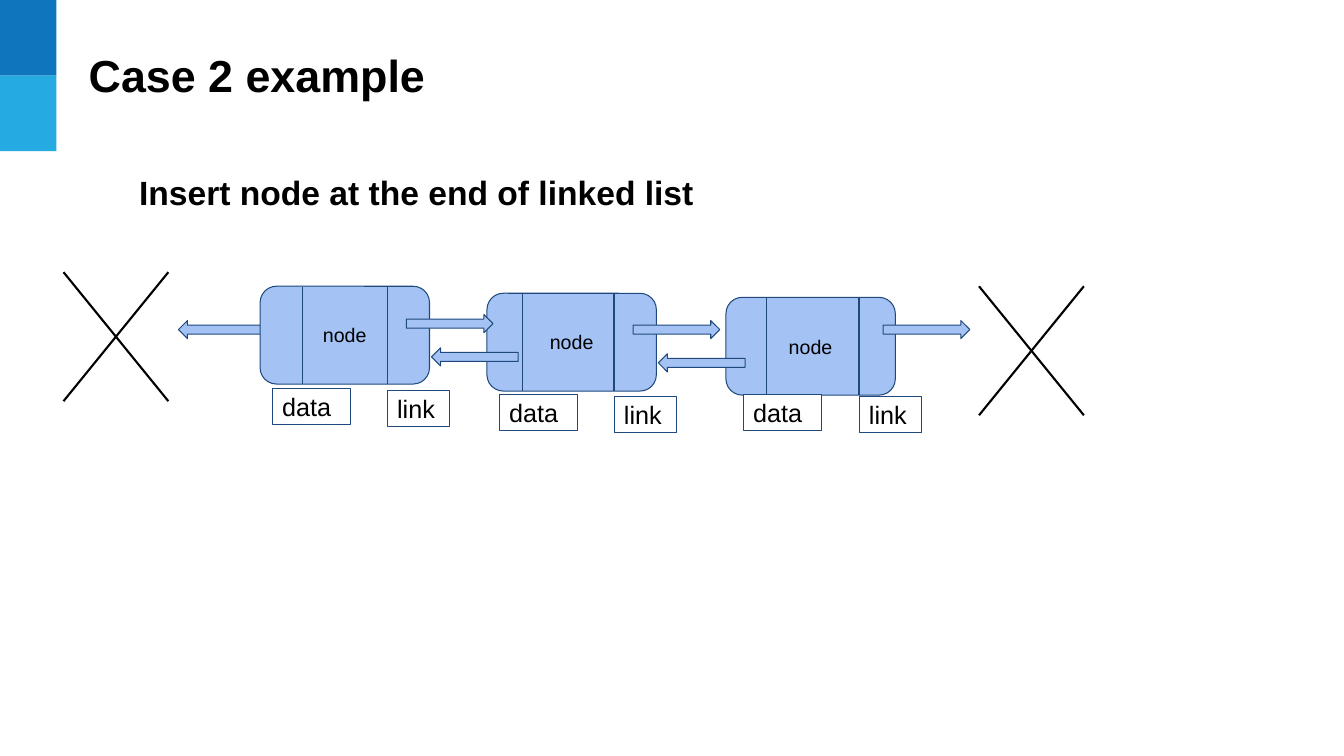
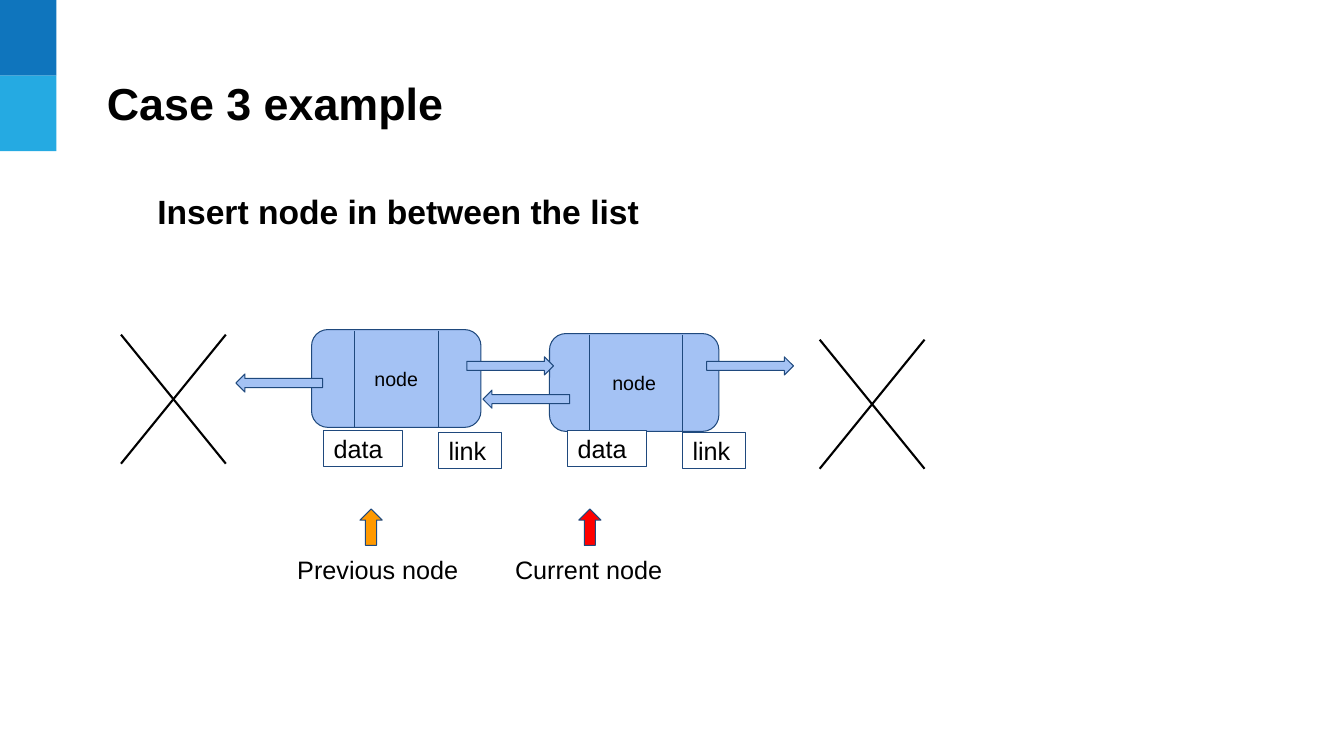
from lxml import etree
from pptx import Presentation
from pptx.dml.color import RGBColor
from pptx.enum.shapes import MSO_CONNECTOR, MSO_SHAPE
from pptx.enum.text import MSO_ANCHOR, PP_ALIGN
from pptx.oxml.ns import qn
from pptx.util import Inches, Pt

RECT, ROUND = MSO_SHAPE.RECTANGLE, MSO_SHAPE.ROUNDED_RECTANGLE
ARROWS = {"left": MSO_SHAPE.LEFT_ARROW, "right": MSO_SHAPE.RIGHT_ARROW}
UP = MSO_SHAPE.UP_ARROW
LINE = MSO_CONNECTOR.STRAIGHT
MIDDLE = MSO_ANCHOR.MIDDLE
LEFT, CENTER = PP_ALIGN.LEFT, PP_ALIGN.CENTER

FONT = "Arial"
COLORS = {
    "dark": "0F75BD", "light": "25AAE2", "node": "A4C2F4", "edge": "1F497D",
    "text": "000000", "white": "FFFFFF", "orange": "FF9900", "red": "FF0000",
}
BANDS = ["dark", "light"]
BAND_W, BAND_H = 0.56, 0.75
NODE_W, NODE_H = 1.68, 0.97
ARROW_W, ARROW_H = 0.86, 0.18
CROSS_W, CROSS_H = 1.04, 1.28
TAG_H = 0.36

# nodes: x, y, offsets of the two dividers and the data tag, drop of the tags
# arrows: direction, x, y; those in "under" lie behind the nodes
# marks: text, box x, box width, arrow x, arrow colour
SLIDES = [
    {
        "title": "Case 2 example",
        "lead": "Insert node at the end of linked list",
        "head": (0.78, 0.29),
        "nodes": [
            (2.58, 2.84, 0.42, 1.26, 0.12, 1.01),
            (4.83, 2.91, 0.35, 1.26, 0.12, 1.0),
            (7.2, 2.95, 0.4, 1.32, 0.17, 0.96),
        ],
        "under": [("left", 1.77, 3.18)],
        "arrows": [
            ("right", 4.03, 3.12), ("left", 4.28, 3.45),
            ("right", 6.28, 3.18), ("left", 6.53, 3.51),
            ("right", 8.76, 3.18),
        ],
        "crosses": [(0.63, 2.7), (9.71, 2.84)],
        "marks": [],
    },
    {
        "title": "Case 3 example",
        "lead": "Insert node in between the list",
        "head": (0.96, 0.57),
        "nodes": [
            (3.09, 3.27, 0.43, 1.26, 0.12, 1.0),
            (5.45, 3.31, 0.4, 1.32, 0.18, 0.96),
        ],
        "under": [],
        "arrows": [
            ("left", 2.34, 3.71), ("right", 4.63, 3.54),
            ("left", 4.79, 3.87), ("right", 7.01, 3.54),
        ],
        "crosses": [(1.2, 3.32), (8.13, 3.37)],
        "marks": [
            ("Previous node", 2.85, 1.93, 3.57, "orange"),
            ("Current node", 5.01, 1.68, 5.74, "red"),
        ],
    },
]


def rgb(name):
    return RGBColor.from_string(COLORS[name])


def place(shape, x, y, w, h):
    shape.left, shape.top = Inches(x), Inches(y)
    shape.width, shape.height = Inches(w), Inches(h)


def write(shape, text, size, bold=False, align=LEFT, anchor=MIDDLE,
          left=0.1, pad=0.1):
    frame = shape.text_frame
    frame.word_wrap = True
    frame.vertical_anchor = anchor
    frame.margin_left, frame.margin_right = Inches(left), Inches(0.1)
    frame.margin_top = frame.margin_bottom = Inches(pad)
    para = frame.paragraphs[0]
    para.alignment = align
    run = para.add_run()
    run.text = text
    font = run.font
    font.name, font.size, font.bold = FONT, Pt(size), bold
    font.color.rgb = rgb("text")


def add_box(slide, kind, x, y, w, h, fill, edge="edge"):
    box = slide.shapes.add_shape(kind, Inches(x), Inches(y), Inches(w), Inches(h))
    box.shadow.inherit = False
    box.fill.solid()
    box.fill.fore_color.rgb = rgb(fill)
    if edge:
        box.line.color.rgb = rgb(edge)
        box.line.width = Pt(0.75)
    else:
        box.line.fill.background()
    return box


def add_line(slide, x1, y1, x2, y2, color, width):
    line = slide.shapes.add_connector(
        LINE, Inches(x1), Inches(y1), Inches(x2), Inches(y2))
    line.line.color.rgb = rgb(color)
    line.line.width = Pt(width)
    etree.SubElement(line.element.spPr, qn("a:effectLst"))


def add_arrow(slide, way, x, y):
    add_box(slide, ARROWS[way], x, y, ARROW_W, ARROW_H, "node")


def add_node(slide, x, y, first, second, data, drop):
    box = add_box(slide, ROUND, x, y, NODE_W, NODE_H, "node")
    write(box, "node", 14, align=CENTER)
    for gap in (first, second):
        add_line(slide, x + gap, y + 0.01, x + gap, y + NODE_H, "edge", 0.75)
    for text, gap, fall, w in (("data", data, drop, 0.78),
                               ("link", second, drop + 0.02, 0.62)):
        tag = add_box(slide, RECT, x + gap, y + fall, w, TAG_H, "white")
        write(tag, text, 18)


def add_cross(slide, x, y):
    right, low = x + CROSS_W, y + CROSS_H
    add_line(slide, right, y, x, low, "text", 1.5)
    add_line(slide, right, low, x, y, "text", 1.5)


def add_mark(slide, text, x, w, tip, color):
    add_box(slide, UP, tip, 5.05, 0.22, 0.36, color)
    box = add_box(slide, RECT, x, 5.47, w, TAG_H, "white", "white")
    write(box, text, 18)


def add_bands(slide):
    """Draw the corner bands and move them to the layout all slides share."""
    tree = slide.slide_layout.shapes.element
    for i, color in enumerate(BANDS):
        band = add_box(slide, RECT, 0, i * BAND_H, BAND_W, BAND_H, color, None)
        band.element.nvSpPr.cNvPr.set("id", str(20 + i))
        tree.append(band.element)


def add_head(slide, title, lead, x, y):
    place(slide.shapes.title, x, y, 8.75, 0.9)
    write(slide.shapes.title, title, 32, bold=True, pad=0.05)
    box = slide.shapes.add_textbox(
        Inches(x), Inches(y + 1.32), Inches(10.15), Inches(0.61))
    if y > 0.5:
        box.top = Inches(y + 1.22)
    write(box, lead, 24, bold=True, anchor=MSO_ANCHOR.TOP, left=0.6)


def main():
    deck = Presentation()
    deck.slide_width, deck.slide_height = Inches(13.33), Inches(7.5)
    layout = deck.slide_layouts[5]
    for i, item in enumerate(SLIDES):
        slide = deck.slides.add_slide(layout)
        if i == 0:
            add_bands(slide)
        add_head(slide, item["title"], item["lead"], *item["head"])
        for key, draw in (("under", add_arrow), ("nodes", add_node),
                          ("arrows", add_arrow), ("crosses", add_cross),
                          ("marks", add_mark)):
            for part in item[key]:
                draw(slide, *part)
    deck.save("out.pptx")


if __name__ == "__main__":
    main()
